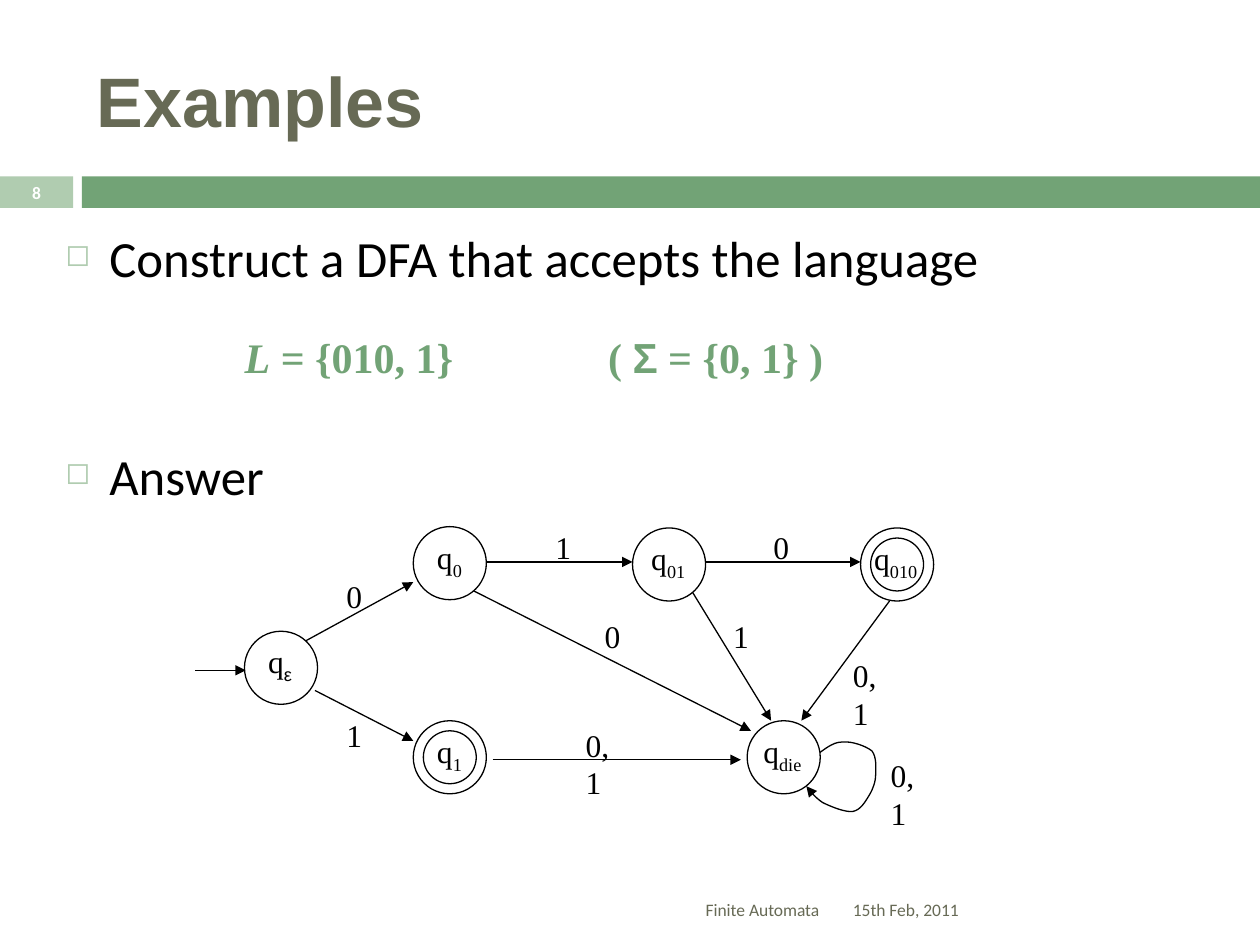
from dataclasses import dataclass
from typing import Any, NamedTuple

from lxml.etree import SubElement
from pptx import Presentation
from pptx.dml.color import RGBColor
from pptx.enum.shapes import MSO_CONNECTOR, MSO_SHAPE
from pptx.enum.text import MSO_ANCHOR, PP_ALIGN
from pptx.oxml.ns import qn
from pptx.util import Inches, Pt


@dataclass(frozen=True)
class Theme:
    ink: str = "000000"
    paper: str = "FFFFFF"
    olive: str = "676A55"
    green: str = "72A376"
    pale_green: str = "B0CCB0"
    title_size: int = 40
    body_size: int = 29
    formula_size: int = 24
    label_size: int = 18
    small_size: int = 10
    line_width: float = 0.75
    heading_font: str = "Arial"
    body_font: str = "Calibri"
    math_font: str = "Times New Roman"


THEME = Theme()
NODE_SIZE = 0.58
RING_INSET = 0.08
LABEL_HEIGHT = 0.4


class Style(NamedTuple):
    color: str
    values: dict[str, Any]


def make_style(color: str, name: str, size: int, **values: Any) -> Style:
    return Style(color, {"name": name, "size": Pt(size), **values})


TITLE = make_style(THEME.olive, THEME.heading_font, THEME.title_size, bold=True)
BODY = make_style(THEME.ink, THEME.body_font, THEME.body_size)
FORMULA = make_style(THEME.green, THEME.math_font, THEME.formula_size, bold=True)
VARIABLE = make_style(THEME.green, THEME.math_font, THEME.formula_size, bold=True, italic=True)
SIGMA = make_style(THEME.green, THEME.heading_font, THEME.formula_size, bold=True)
LABEL = make_style(THEME.ink, THEME.math_font, THEME.label_size)
EPSILON = make_style(THEME.ink, THEME.heading_font, THEME.label_size)
FOOTER = make_style(THEME.olive, THEME.body_font, THEME.small_size)
PAGE = make_style(THEME.paper, THEME.body_font, THEME.small_size, bold=True)


class Run(NamedTuple):
    text: str
    style: Style
    subscript: bool = False


class State(NamedTuple):
    subscript: str
    left: float
    top: float
    label_width: float
    accepting: bool = False
    subscript_style: Style = LABEL


class Edge(NamedTuple):
    start: tuple[float, float]
    end: tuple[float, float]


class EdgeLabel(NamedTuple):
    text: str
    left: float
    top: float


STATES = [
    State("ε", 1.94, 5.01, 0.4, subscript_style=EPSILON),
    State("0", 3.28, 4.18, 0.4),
    State("1", 3.28, 5.72, 0.4, accepting=True),
    State("01", 5.02, 4.19, 0.48),
    State("010", 6.83, 4.19, 0.56, accepting=True),
    State("die", 5.93, 5.72, 0.52),
]
EDGES = [
    Edge((1.55, 5.32), (1.95, 5.32)),
    Edge((2.42, 5.09), (3.28, 4.62)),
    Edge((2.5, 5.48), (3.28, 5.88)),
    Edge((3.84, 4.46), (5.02, 4.46)),
    Edge((5.57, 4.46), (6.83, 4.46)),
    Edge((3.91, 6.03), (5.88, 6.03)),
    Edge((3.76, 4.69), (5.96, 5.8)),
    Edge((5.49, 4.69), (6.12, 5.72)),
    Edge((7.06, 4.77), (6.36, 5.72)),
]
EDGE_LABELS = [
    EdgeLabel("0", 2.65, 4.53),
    EdgeLabel("1", 2.65, 5.63),
    EdgeLabel("1", 4.31, 4.14),
    EdgeLabel("0", 6.04, 4.14),
    EdgeLabel("0, 1", 4.55, 5.71),
    EdgeLabel("0", 4.7, 4.85),
    EdgeLabel("1", 5.72, 4.85),
    EdgeLabel("0, 1", 6.67, 5.16),
    EdgeLabel("0, 1", 6.97, 5.95),
]
LOOP_START = (6.47, 6.0)
LOOP_CURVES = [
    ((6.54, 5.95), (6.61, 5.89), (6.68, 5.89)),
    ((6.76, 5.88), (6.87, 5.92), (6.92, 5.96)),
    ((6.96, 6.01), (6.95, 6.09), (6.95, 6.15)),
    ((6.95, 6.2), (6.93, 6.26), (6.9, 6.31)),
    ((6.87, 6.36), (6.83, 6.43), (6.77, 6.44)),
    ((6.71, 6.45), (6.59, 6.4), (6.53, 6.37)),
    ((6.47, 6.33), (6.43, 6.28), (6.4, 6.24)),
]


def apply_style(font: Any, style: Style) -> None:
    for name, value in style.values.items():
        setattr(font, name, value)
    font.color.rgb = RGBColor.from_string(style.color)


def draw_text(slide: Any, box: tuple[float, ...], runs: list[Run], wrap: bool = True,
              align: Any = PP_ALIGN.LEFT, anchor: Any = MSO_ANCHOR.TOP) -> None:
    frame = slide.shapes.add_textbox(*map(Inches, box)).text_frame
    frame.word_wrap = wrap
    frame.vertical_anchor = anchor
    paragraph = frame.paragraphs[0]
    paragraph.alignment = align
    for item in runs:
        run = paragraph.add_run()
        run.text = item.text
        apply_style(run.font, item.style)
        if item.subscript:
            run._r.get_or_add_rPr().set("baseline", "-25000")


def draw_bullets(slide: Any, box: tuple[float, ...], items: list[str], gap: float) -> None:
    frame = slide.shapes.add_textbox(*map(Inches, box)).text_frame
    frame.word_wrap = True
    for index, text in enumerate(items):
        paragraph = frame.add_paragraph() if index else frame.paragraphs[0]
        properties = paragraph._p.get_or_add_pPr()
        properties.set("marL", str(Inches(0.35)))
        properties.set("indent", str(Inches(-0.35)))
        SubElement(SubElement(properties, qn("a:buClr")), qn("a:srgbClr"), val=THEME.pale_green)
        SubElement(properties, qn("a:buSzPct"), val="60000")
        SubElement(properties, qn("a:buChar"), char="◻")
        paragraph.space_before = Pt(gap if index else 0)
        run = paragraph.add_run()
        run.text = text
        apply_style(run.font, BODY)


def draw_shape(slide: Any, kind: Any, box: tuple[float, ...], fill: str | None,
               outlined: bool = False) -> None:
    shape = slide.shapes.add_shape(kind, *map(Inches, box))
    shape.shadow.inherit = False
    if fill:
        shape.fill.solid()
        shape.fill.fore_color.rgb = RGBColor.from_string(fill)
    else:
        shape.fill.background()
    if outlined:
        set_line(shape)
    else:
        shape.line.fill.background()


def set_line(shape: Any) -> None:
    shape.line.color.rgb = RGBColor.from_string(THEME.ink)
    shape.line.width = Pt(THEME.line_width)


def add_arrowhead(shape: Any) -> None:
    SubElement(shape.element.spPr.get_or_add_ln(), qn("a:tailEnd"), type="triangle")


def draw_edge(slide: Any, edge: Edge) -> None:
    connector = slide.shapes.add_connector(
        MSO_CONNECTOR.STRAIGHT, *map(Inches, edge.start + edge.end))
    set_line(connector)
    add_arrowhead(connector)
    SubElement(connector.element.spPr, qn("a:effectLst"))


def draw_loop(slide: Any, steps: int = 8) -> None:
    points, start = [], LOOP_START
    for first, second, end in LOOP_CURVES:
        for step in range(1, steps + 1):
            t = step / steps
            weights = ((1 - t) ** 3, 3 * t * (1 - t) ** 2, 3 * t * t * (1 - t), t ** 3)
            controls = zip(*(start, first, second, end))
            points.append(tuple(
                Inches(sum(w * c for w, c in zip(weights, axis))) for axis in controls))
        start = end
    builder = slide.shapes.build_freeform(*map(Inches, LOOP_START), scale=1.0)
    builder.add_line_segments(points, close=False)
    loop = builder.convert_to_shape()
    loop.shadow.inherit = False
    loop.fill.background()
    set_line(loop)
    add_arrowhead(loop)


def draw_state(slide: Any, state: State) -> None:
    draw_shape(slide, MSO_SHAPE.OVAL, (state.left, state.top, NODE_SIZE, NODE_SIZE),
               THEME.paper, True)
    if state.accepting:
        ring = NODE_SIZE - 2 * RING_INSET
        draw_shape(slide, MSO_SHAPE.OVAL,
                   (state.left + RING_INSET, state.top + RING_INSET, ring, ring), None, True)
    label_left = state.left + (NODE_SIZE - state.label_width) / 2
    draw_text(slide, (label_left, state.top + 0.04, state.label_width, LABEL_HEIGHT),
              [Run("q", LABEL), Run(state.subscript, state.subscript_style, True)], wrap=False)


def draw_edge_label(slide: Any, label: EdgeLabel) -> None:
    is_pair = "," in label.text
    draw_text(slide, (label.left, label.top, 0.56 if is_pair else 0.32, LABEL_HEIGHT),
              [Run(label.text, LABEL)], wrap=is_pair)


def main() -> None:
    presentation = Presentation()
    presentation.slide_width, presentation.slide_height = Inches(10), Inches(7.5)
    slide = presentation.slides.add_slide(presentation.slide_layouts[6])
    middle = MSO_ANCHOR.MIDDLE

    draw_shape(slide, MSO_SHAPE.RECTANGLE, (0, 1.4, 0.58, 0.25), THEME.pale_green)
    draw_shape(slide, MSO_SHAPE.RECTANGLE, (0.65, 1.4, 9.35, 0.25), THEME.green)
    draw_text(slide, (0.67, 0.25, 8.92, 1.08), [Run("Examples", TITLE)], anchor=middle)
    draw_bullets(slide, (0.42, 1.75, 9.14, 2.68),
                 ["Construct a DFA that accepts the language", "Answer"], gap=90)
    draw_text(slide, (1.67, 2.58, 2.2, 0.5),
              [Run("L", VARIABLE), Run(" = {010, 1}", FORMULA)], align=PP_ALIGN.CENTER)
    draw_text(slide, (4.58, 2.58, 2.2, 0.5),
              [Run("( ", FORMULA), Run("Σ", SIGMA), Run(" = {0, 1} )", FORMULA)],
              align=PP_ALIGN.CENTER)

    draw_loop(slide)
    for edge in EDGES:
        draw_edge(slide, edge)
    for state in STATES:
        draw_state(slide, state)
    for label in EDGE_LABELS:
        draw_edge_label(slide, label)

    draw_text(slide, (6.67, 7.02, 2.92, 0.4), [Run("15th Feb, 2011", FOOTER)], anchor=middle)
    draw_text(slide, (0, 1.39, 0.58, 0.27), [Run("8", PAGE)],
              align=PP_ALIGN.CENTER, anchor=middle)
    draw_text(slide, (0.67, 7.02, 5.93, 0.4), [Run("Finite Automata", FOOTER)],
              align=PP_ALIGN.RIGHT, anchor=middle)
    presentation.save("out.pptx")


if __name__ == "__main__":
    main()
